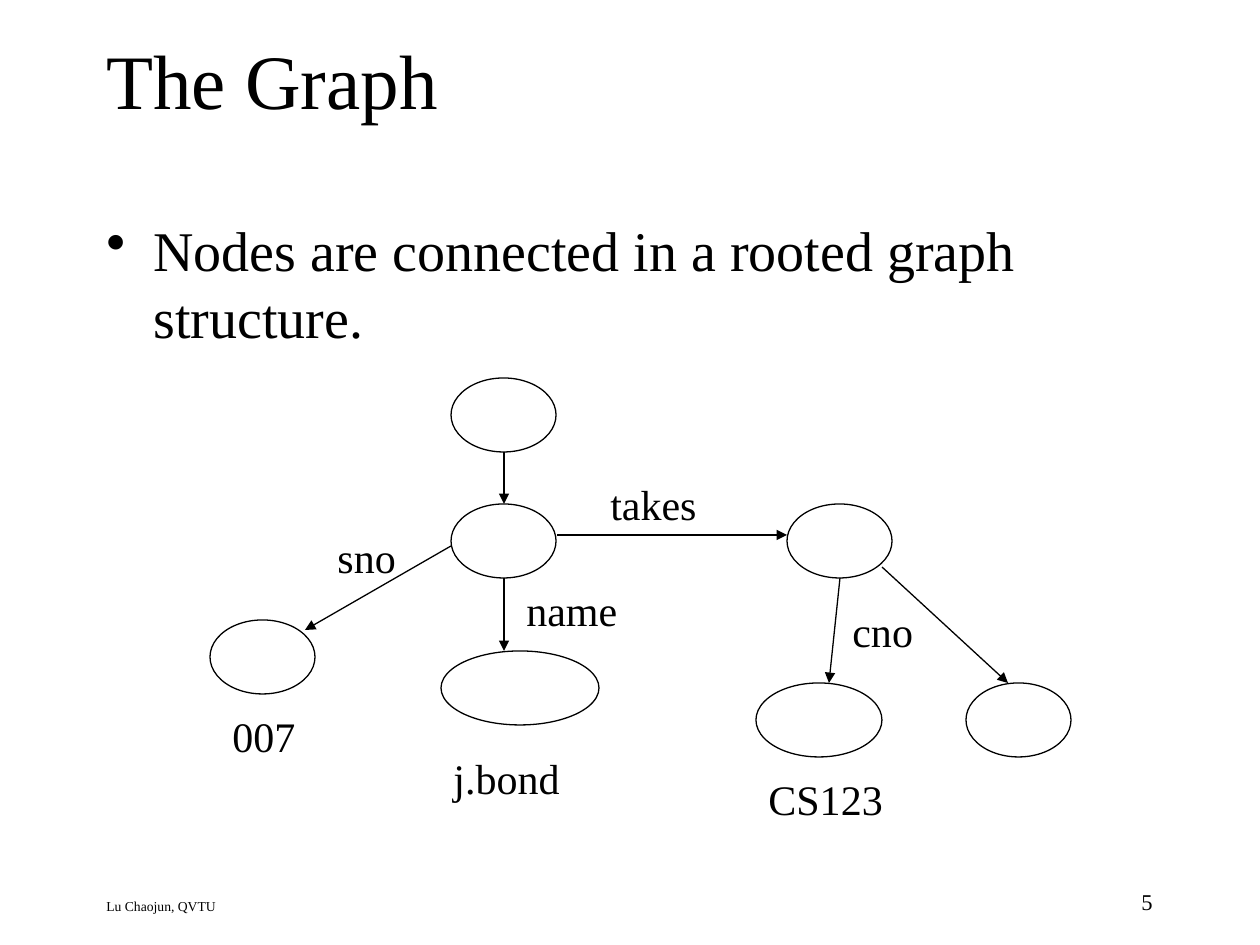
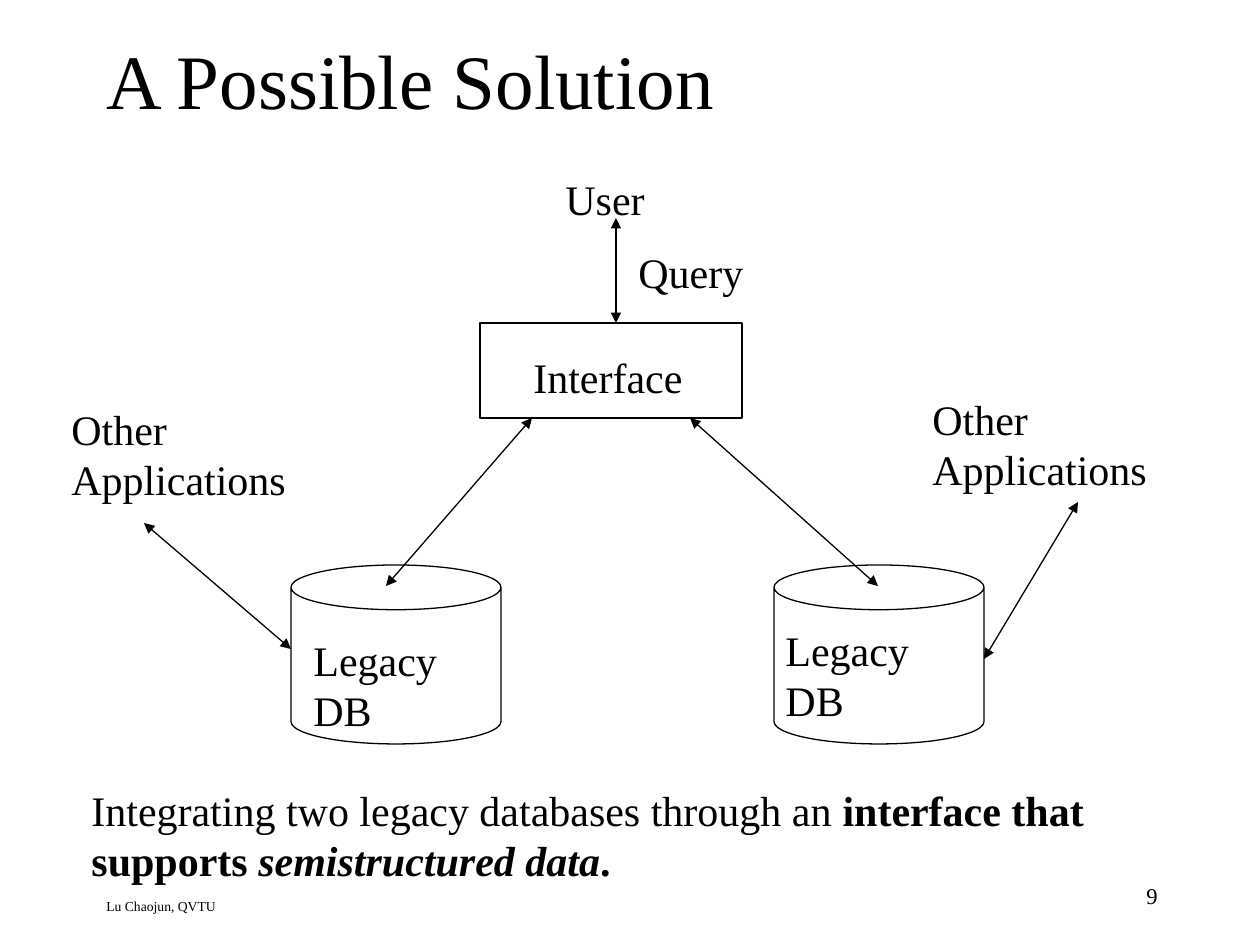
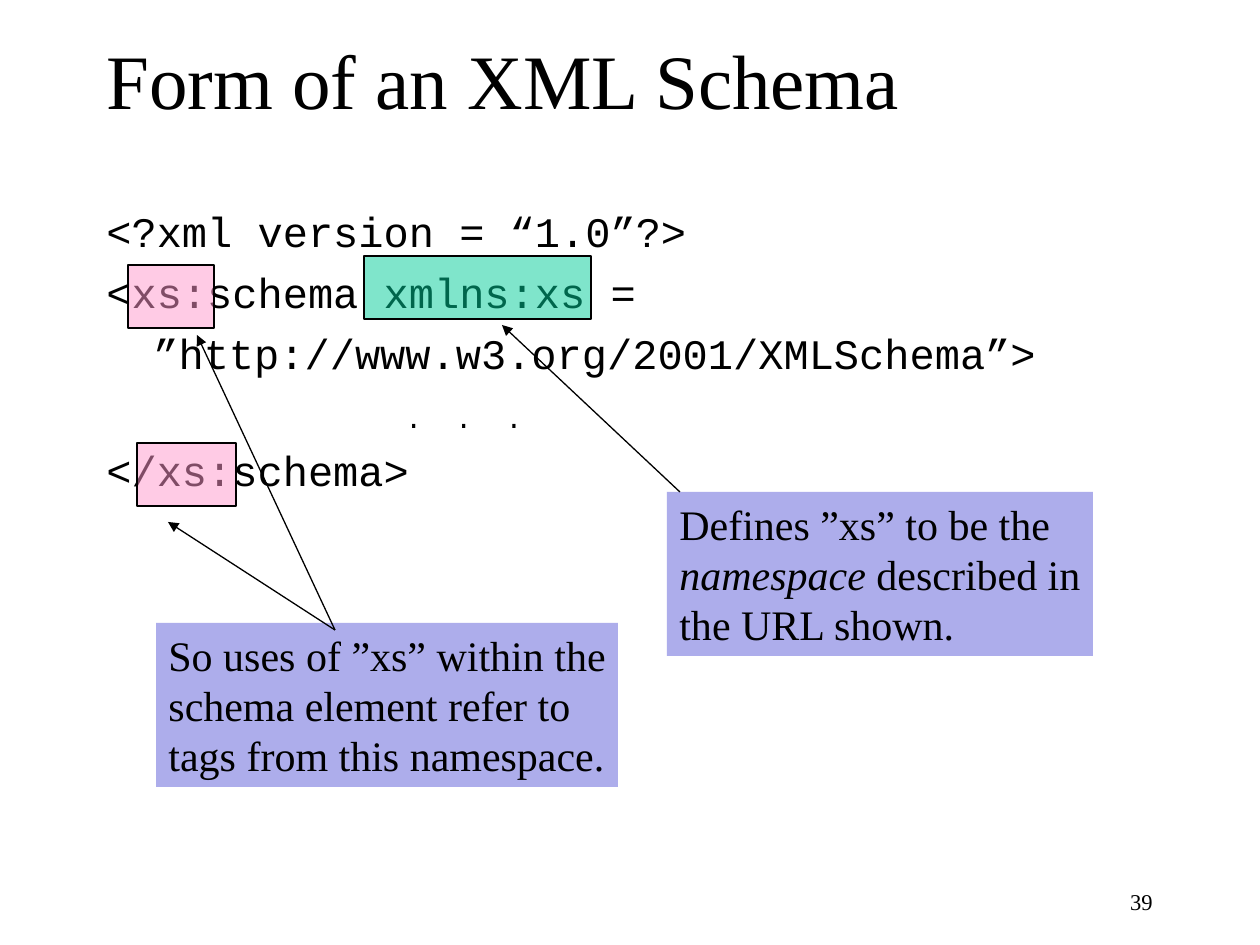
"""Build three lecture slides on semistructured data and XML Schema."""
from dataclasses import dataclass

from lxml import etree
from pptx import Presentation
from pptx import util as u
from pptx.dml.color import RGBColor
from pptx.enum import shapes, text
from pptx.oxml.ns import qn

PX = 914400 / 126


@dataclass(frozen=True)
class Theme:
    ink: str = "000000"
    paper: str = "FFFFFF"
    callout: str = "ADADEB"
    green: str = "00CC99"
    pink: str = "FF99CC"
    serif: str = "Times New Roman"
    mono: str = "Courier New"
    title: float = 44
    bullet: float = 32
    body: float = 24
    dots: float = 16
    number: float = 12.9
    footer: float = 7.8
    line: float = 0.75


T = Theme()


def emu(*lengths):
    return [u.Emu(round(n * PX)) for n in lengths]


def add_run(p, words, size=T.body, font=T.serif, bold=False, italic=False, spacing=0):
    r = p.add_run()
    r.text = words
    r.font.size, r.font.name = u.Pt(size), font
    r.font.bold, r.font.italic = bold, italic
    r.font.color.rgb = RGBColor.from_string(T.ink)
    if spacing:
        r.font._element.set("spc", str(spacing))


class Deck:
    def __init__(self):
        self.prs = Presentation()
        self.prs.slide_width, self.prs.slide_height = emu(1260, 945)
        self.s = None

    def slide(self, title, number, number_at=(903, 882), footer=None):
        self.s = self.prs.slides.add_slide(self.prs.slide_layouts[6])
        self.s.background.fill.solid()
        self.s.background.fill.fore_color.rgb = RGBColor.from_string(T.paper)
        self.text(94, 0, 1071, 158, title, size=T.title, anchor=text.MSO_ANCHOR.MIDDLE)
        self.text(*number_at, 262, 42, str(number), size=T.number, align=text.PP_ALIGN.RIGHT)
        if footer:
            self.text(94, 892, 731, 32, footer, size=T.footer)

    def frame(self, sp, wrap=True, anchor=text.MSO_ANCHOR.TOP):
        tf = sp.text_frame
        tf.word_wrap, tf.vertical_anchor = wrap, anchor
        tf.margin_left = tf.margin_right = u.Inches(0.1)
        tf.margin_top = tf.margin_bottom = u.Inches(0.05)
        return tf

    def textbox(self, x, y, w, h, **kw):
        return self.frame(self.s.shapes.add_textbox(*emu(x, y, w, h)), **kw)

    def text(self, x, y, w, h, words, align=text.PP_ALIGN.LEFT,
             anchor=text.MSO_ANCHOR.TOP, **fmt):
        p = self.textbox(x, y, w, h, anchor=anchor).paragraphs[0]
        p.alignment = align
        for part, extra in [(words, {})] if isinstance(words, str) else words:
            add_run(p, part, **{**fmt, **extra})
        return p

    def bullet(self, x, y, w, h, words):
        pPr = self.text(x, y, w, h, words, size=T.bullet)._p.get_or_add_pPr()
        pPr.set("marL", str(emu(47)[0]))
        pPr.set("indent", str(emu(-47)[0]))
        etree.SubElement(pPr, qn("a:buChar")).set("char", "•")

    def code(self, x, y, w, h, lines):
        tf = self.textbox(x, y, w, h)
        for i, (words, indent, before, fmt) in enumerate(lines):
            p = tf.add_paragraph() if i else tf.paragraphs[0]
            p.space_before = u.Pt(before)
            p._p.get_or_add_pPr().set("marL", str(emu(indent)[0]))
            add_run(p, words, font=T.mono, **fmt)

    def shape(self, kind, x, y, w, h, fill=None, alpha=None, outline=True):
        sp = self.s.shapes.add_shape(kind, *emu(x, y, w, h))
        sp.shadow.inherit = False
        if fill:
            sp.fill.solid()
            sp.fill.fore_color.rgb = RGBColor.from_string(fill)
        else:
            sp.fill.background()
        if alpha:
            color = sp._element.spPr.find(".//" + qn("a:srgbClr"))
            etree.SubElement(color, qn("a:alpha")).set("val", str(alpha * 1000))
        if outline:
            sp.line.color.rgb = RGBColor.from_string(T.ink)
            sp.line.width = u.Pt(T.line)
        else:
            sp.line.fill.background()
        return sp

    def node(self, x, y, w=105):
        self.shape(shapes.MSO_SHAPE.OVAL, x, y, w, 74, T.paper)

    def highlight(self, x, y, w, fill):
        self.shape(shapes.MSO_SHAPE.RECTANGLE, x, y, w, 63, fill, alpha=50)

    def callout(self, x, y, w, lines):
        sp = self.shape(shapes.MSO_SHAPE.RECTANGLE, x, y, w, 164, T.callout, outline=False)
        tf = self.frame(sp, wrap=False)
        for i, parts in enumerate(lines):
            p = tf.add_paragraph() if i else tf.paragraphs[0]
            p.alignment = text.PP_ALIGN.LEFT
            for words, italic in parts:
                add_run(p, words, italic=italic)

    def arrow(self, x1, y1, x2, y2, both=False):
        cx = self.s.shapes.add_connector(shapes.MSO_CONNECTOR.STRAIGHT, *emu(x1, y1, x2, y2))
        cx.line.color.rgb = RGBColor.from_string(T.ink)
        cx.line.width = u.Pt(T.line)
        ln = cx.line._get_or_add_ln()
        for end in ("a:headEnd", "a:tailEnd") if both else ("a:tailEnd",):
            etree.SubElement(ln, qn(end)).set("type", "triangle")
        etree.SubElement(cx._element.spPr, qn("a:effectLst"))


def graph_slide(d, footer):
    d.slide("The Graph", 5, footer=footer)
    d.bullet(94, 209, 1071, 358, "Nodes are connected in a rooted graph structure.")
    for node in [(451, 378), (451, 504), (787, 504), (210, 620),
                 (441, 651, 158), (756, 683, 126), (966, 683)]:
        d.node(*node)
    for ends in [(504, 452, 504, 504), (451, 546, 305, 630), (557, 535, 787, 535),
                 (504, 578, 504, 651), (840, 578, 829, 683), (882, 567, 1008, 683)]:
        d.arrow(*ends)
    for x, y, w, words in [(325, 525, 95, "sno"), (598, 472, 179, "takes"),
                           (514, 578, 136, "name"), (840, 599, 95, "cno"),
                           (220, 704, 95, "007"), (441, 746, 147, "j.bond"),
                           (756, 767, 147, "CS123")]:
        d.text(x, y, w, 63, words)


def solution_slide(d, footer):
    d.slide("A Possible Solution", 9, number_at=(908, 876), footer=footer)
    for x in (291, 774):
        d.shape(shapes.MSO_SHAPE.CAN, x, 565, 210, 179)
    d.shape(shapes.MSO_SHAPE.RECTANGLE, 480, 323, 262, 95)
    for x, y, w, h, words in [(553, 167, 136, 63, "User"), (626, 240, 168, 63, "Query"),
                              (521, 345, 242, 63, "Interface"),
                              (59, 397, 262, 113, "Other Applications"),
                              (920, 387, 262, 113, "Other Applications"),
                              (301, 628, 210, 113, "Legacy DB"),
                              (773, 618, 210, 113, "Legacy DB")]:
        d.text(x, y, w, h, words)
    for ends in [(616, 218, 616, 323), (532, 418, 386, 586), (690, 418, 878, 586),
                 (144, 523, 291, 649), (1078, 502, 984, 659)]:
        d.arrow(*ends, both=True)
    d.text(79, 778, 1092, 113, [
        ("Integrating two legacy databases through an ", {}),
        ("interface that supports ", {"bold": True}),
        ("semistructured data", {"bold": True, "italic": True}),
        (".", {"bold": True})])


def schema_slide(d):
    d.slide("Form of an XML Schema", 39)
    d.code(94, 199, 1071, 640, [
        ("<?xml version = “1.0”?>", 0, 6, {}),
        ("<xs:schema xmlns:xs =", 0, 6, {}),
        ("”http://www.w3.org/2001/XMLSchema”>", 47, 6, {}),
        (". . .", 299, 13, {"size": T.dots, "spacing": 480}),
        ("</xs:schema>", 0, 6, {})])
    d.callout(667, 492, 426, [
        [("Defines ”xs” to be the", False)],
        [("namespace ", True), ("described in", False)],
        [("the URL shown.", False)]])
    d.highlight(364, 256, 227, T.green)
    d.arrow(680, 492, 502, 325)
    d.highlight(128, 265, 86, T.pink)
    d.highlight(137, 443, 99, T.pink)
    d.callout(156, 623, 462, [
        [("So uses of ”xs” within the", False)],
        [("schema element refer to", False)],
        [("tags from this namespace.", False)]])
    for tip in [(168, 522), (197, 335)]:
        d.arrow(335, 630, *tip)


def main():
    d = Deck()
    footer = "Lu Chaojun, QVTU"
    graph_slide(d, footer)
    solution_slide(d, footer)
    schema_slide(d)
    d.prs.save("out.pptx")


if __name__ == "__main__":
    main()
